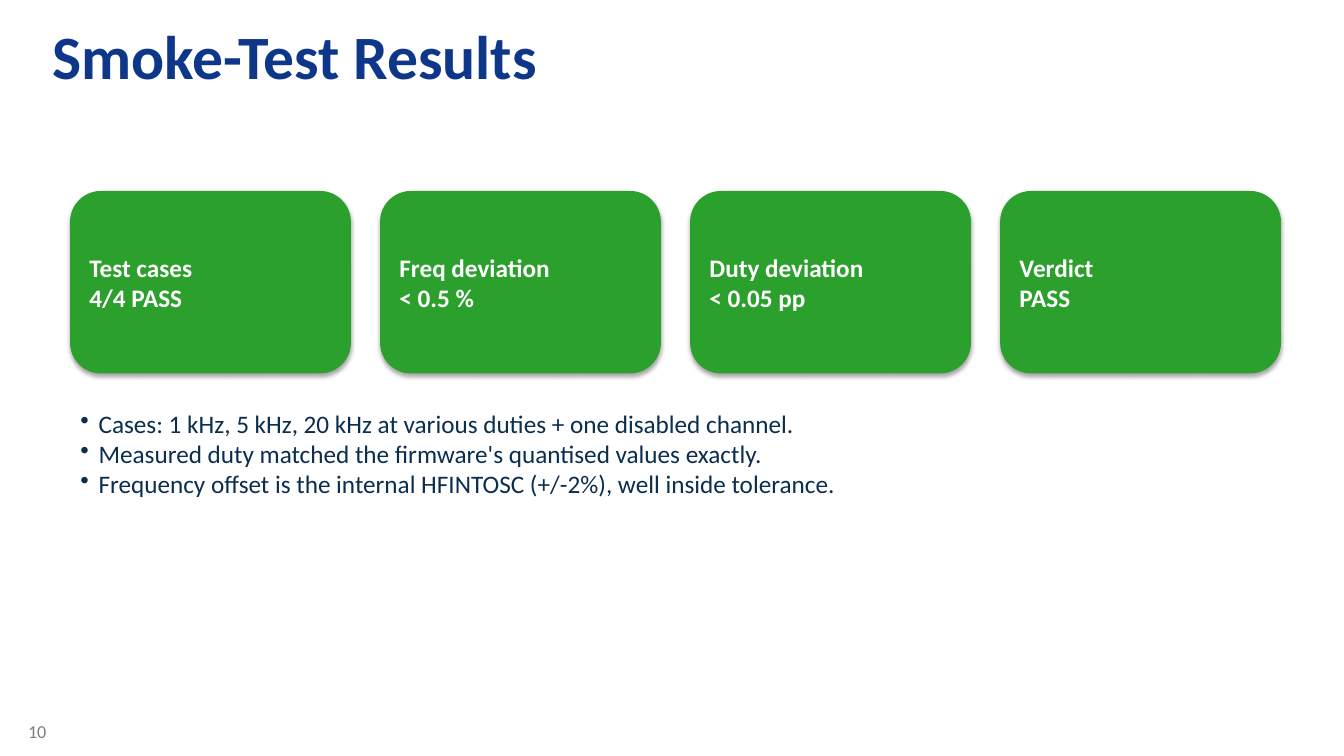
import pptx
import pptx.dml.color
import pptx.enum.shapes
import pptx.enum.text
import pptx.oxml
import pptx.oxml.ns
import pptx.util

Inches, Pt = pptx.util.Inches, pptx.util.Pt
GREEN = "2CA02C"
LEFT, WIDTH, GAP = 0.7, 12, 0.3


def rgb(value):
    return pptx.dml.color.RGBColor.from_string(value)


def add_lines(tf, lines, size, color, bold=False, bullets=False):
    """Write one left-aligned paragraph per line."""
    tf.word_wrap = True
    for i, line in enumerate(lines):
        p = tf.paragraphs[0] if i == 0 else tf.add_paragraph()
        p.text = line
        p.alignment = pptx.enum.text.PP_ALIGN.LEFT
        if bullets:
            pPr = p._p.get_or_add_pPr()
            pPr.set("marL", str(Inches(0.18)))
            pPr.set("indent", str(-Inches(0.18)))
            pPr.append(pptx.oxml.parse_xml(
                f'<a:buChar {pptx.oxml.ns.nsdecls("a")} char="•"/>'))
        for r in p.runs:
            r.font.name = "Calibri"
            r.font.size = Pt(size)
            r.font.bold = bold
            r.font.color.rgb = rgb(color)


prs = pptx.Presentation()
prs.slide_width, prs.slide_height = Inches(13.33), Inches(7.5)
s = prs.slides.add_slide(prs.slide_layouts[6])

page = s.shapes.add_textbox(Inches(0.18), Inches(7.1), Inches(0.59), Inches(0.4))
add_lines(page.text_frame, ["10"], 13, "808080")

title = s.shapes.add_textbox(Inches(0.39), Inches(0.11), Inches(12.47), Inches(1.75))
tf = title.text_frame
tf.margin_left = tf.margin_right = Inches(0.13)
tf.margin_top = tf.margin_bottom = Inches(0.07)
add_lines(tf, ["Smoke-Test Results"], 44, "0E3689", bold=True)

results = [
    ("Test cases", "4/4 PASS"),
    ("Freq deviation", "< 0.5 %"),
    ("Duty deviation", "< 0.05 pp"),
    ("Verdict", "PASS"),
]
card_w = (WIDTH - GAP * (len(results) - 1)) / len(results)
for col, (label, value) in enumerate(results):
    # The soft shadow comes from the theme
    sp = s.shapes.add_shape(
        pptx.enum.shapes.MSO_SHAPE.ROUNDED_RECTANGLE,
        Inches(LEFT + col * (card_w + GAP)), Inches(1.9), Inches(card_w), Inches(1.8))
    sp.fill.solid()
    sp.fill.fore_color.rgb = rgb(GREEN)
    sp.line.color.rgb = rgb(GREEN)
    sp.line.width = Pt(0.75)
    sp.text_frame.vertical_anchor = pptx.enum.text.MSO_ANCHOR.MIDDLE
    add_lines(sp.text_frame, [f"{label}\n{value}"], 18, "FFFFFF", bold=True)

notes = s.shapes.add_textbox(Inches(LEFT), Inches(4), Inches(WIDTH), Inches(2.8))
add_lines(notes.text_frame, [
    "Cases: 1 kHz, 5 kHz, 20 kHz at various duties + one disabled channel.",
    "Measured duty matched the firmware's quantised values exactly.",
    "Frequency offset is the internal HFINTOSC (+/-2%), well inside tolerance.",
], 18, "0B2E4F", bullets=True)

prs.save("out.pptx")
